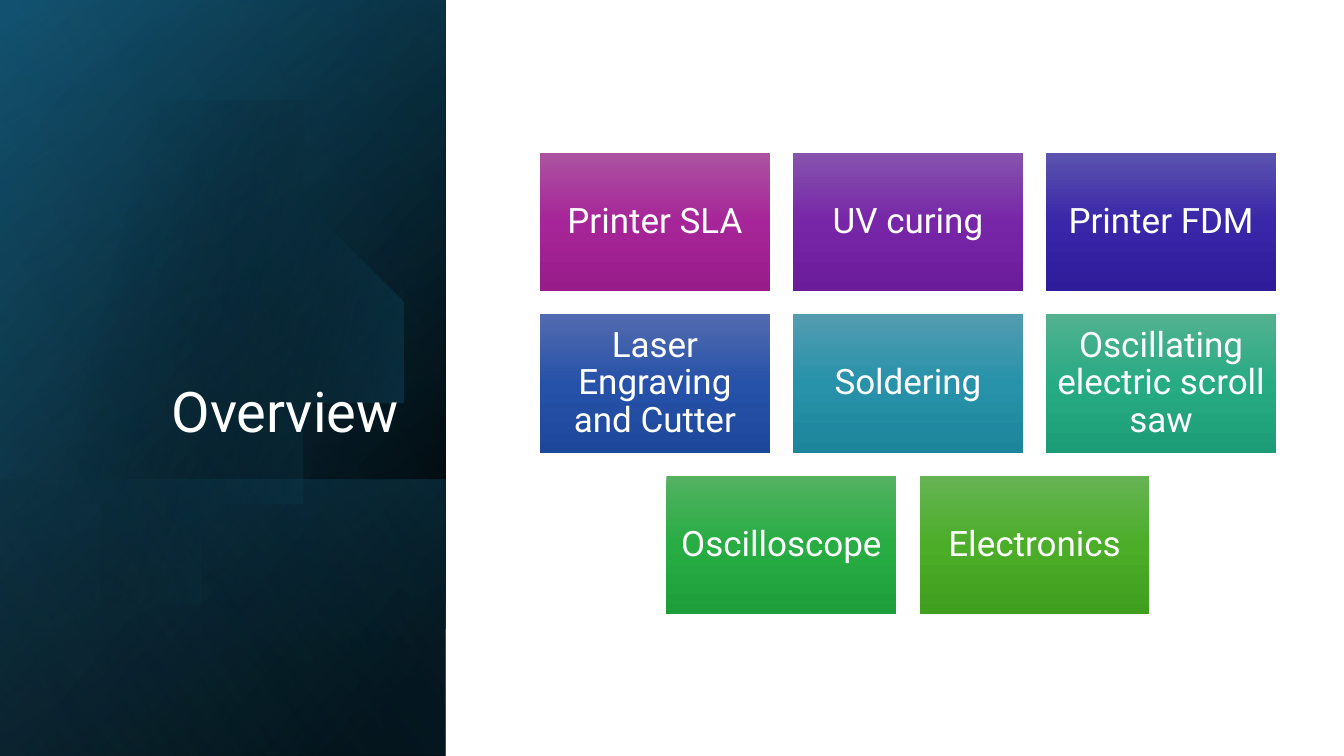
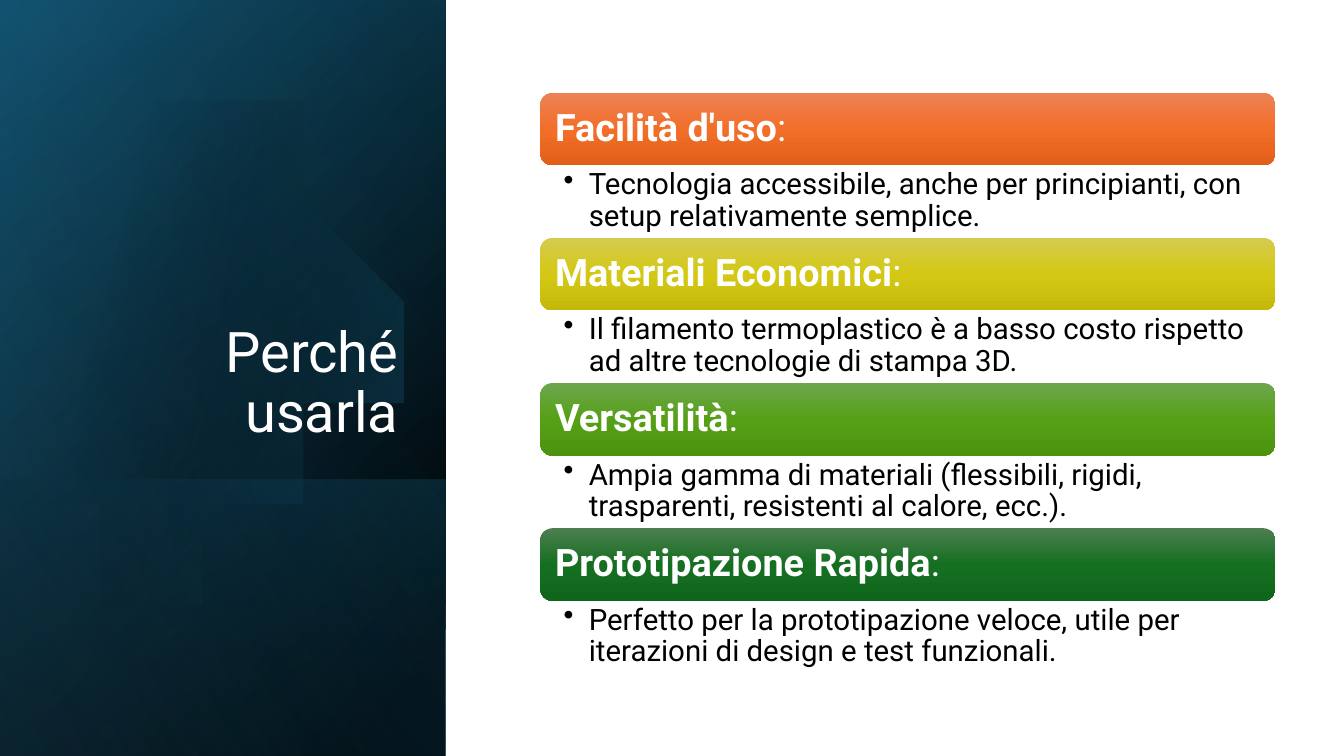
from lxml.etree import SubElement
from pptx import Presentation
from pptx.dml.color import RGBColor
from pptx.enum.shapes import MSO_SHAPE
from pptx.enum.text import MSO_ANCHOR, PP_ALIGN
from pptx.oxml.ns import qn
from pptx.util import Inches, Pt

THEME = {
    "font": "Roboto", "white": "FFFFFF", "black": "000000",
    "navy": "104862", "teal": "156082", "sky": "46B1E1",
    "title": 40, "card": 25, "band": 27, "detail": 21, "spacing": 0.9,
}

CARDS = [
    ("Printer SLA", ("AC53A0", "A62598", "991C8B")),
    ("UV curing", ("8653AD", "7726A7", "6B1C9A")),
    ("Printer FDM", ("5C53AE", "3926A8", "2F1C9A")),
    ("Laser Engraving and Cutter", ("536BAF", "2652A9", "1D479B")),
    ("Soldering", ("539CB0", "2792AA", "1D859C")),
    ("Oscillating electric scroll saw", ("53B190", "27AB83", "1D9D77")),
    ("Oscilloscope", ("54B262", "28AC44", "1E9E3A")),
    ("Electronics", ("66B354", "4BAD28", "409F1E")),
]

REASONS = [
    ("Facilità d'uso", "Tecnologia accessibile, anche per principianti, con setup relativamente semplice.",
     ("ED8257", "F26E29", "E25F1A")),
    ("Materiali Economici", "Il filamento termoplastico è a basso costo rispetto ad altre tecnologie di stampa 3D.",
     ("D5CB4E", "D4C815", "C4B90B")),
    ("Versatilità", "Ampia gamma di materiali (flessibili, rigidi, trasparenti, resistenti al calore, ecc.).",
     ("6DA64E", "56A017", "4C930F")),
    ("Prototipazione Rapida", "Perfetto per la prototipazione veloce, utile per iterazioni di design e test funzionali.",
     ("4D7E50", "156F21", "0F661B")),
]

FULL_PANEL = (-1.54, 1.54, 7.5, 4.42)
LOWER_PANEL = (0.84, 3.92, 2.74, 4.42)
PANEL_BASE = [
    (FULL_PANEL, 50, [(8, THEME["black"], 100), (100, THEME["navy"], 100)]),
    (FULL_PANEL, 30, [(0, THEME["black"], 0), (99, THEME["teal"], 46)]),
    (LOWER_PANEL, 130, [(2, THEME["teal"], 29), (100, THEME["black"], 30)]),
]
PANEL_GLOW = (FULL_PANEL, 120, [(0, THEME["black"], 0), (99, THEME["sky"], 11)])
DISC_STOPS = [(29, THEME["black"], 0), (100, THEME["teal"], 43)]
DISC_START = (1.49, 1.1)
DISC_CURVES = [
    [(2.46, 1.12), (3.35, 1.77), (3.63, 2.75)],
    [(3.98, 3.97), (3.28, 5.23), (2.07, 5.58)],
    [(1.31, 5.8), (0.53, 5.61), (-0.03, 5.14)],
    [(-0.15, 5.03)],
    [(-0.15, 1.75)],
    [(0, 1.61)],
    [(0.23, 1.42), (0.5, 1.28), (0.8, 1.19)],
    [(1.03, 1.13), (1.26, 1.1), DISC_START],
]
CONTENT_LEFT, CONTENT_WIDTH = 5.36, 7.29


def fill_gradient(shape, stops, angle):
    shape.shadow.inherit = False
    shape.line.fill.background()
    shape.fill.background()
    properties = shape.element.spPr
    gradient = properties.find(qn("a:noFill"))
    gradient.tag = qn("a:gradFill")
    gradient.set("rotWithShape", "1")
    stop_list = SubElement(gradient, qn("a:gsLst"))
    for position, color, opacity in stops:
        stop = SubElement(stop_list, qn("a:gs"), pos=str(position * 1000))
        shade = SubElement(stop, qn("a:srgbClr"), val=color)
        if opacity < 100:
            SubElement(shade, qn("a:alpha"), val=str(opacity * 1000))
    SubElement(gradient, qn("a:lin"), ang=str(angle * 60000), scaled="0")


def add_filled(page, kind, place, stops, angle=90):
    shape = page.shapes.add_shape(kind, *map(Inches, place))
    fill_gradient(shape, stops, angle)
    return shape


def add_tile(page, kind, place, colors):
    return add_filled(page, kind, place, [(0, colors[0], 100), (50, colors[1], 100), (100, colors[2], 100)])


def add_textbox(page, place):
    return page.shapes.add_textbox(*map(Inches, place))


def write(shape, text, size, color=THEME["white"], align=PP_ALIGN.LEFT, anchor=MSO_ANCHOR.MIDDLE,
          insets=(0.1, 0.1, 0.1, 0.1), bold=False, tail="", bullet=False):
    frame = shape.text_frame
    frame.word_wrap = True
    frame.vertical_anchor = anchor
    frame.margin_left, frame.margin_top, frame.margin_right, frame.margin_bottom = map(Inches, insets)
    para = frame.paragraphs[0]
    para.alignment = align
    para.line_spacing = THEME["spacing"]
    if bullet:
        settings = para._p.get_or_add_pPr()
        settings.set("marL", str(Inches(0.25)))
        settings.set("indent", str(Inches(-0.25)))
        SubElement(settings, qn("a:buChar"), char="•")
    for words, weight in ((text, bold), (tail, False)):
        if words:
            span = para.add_run()
            span.text = words
            span.font.name = THEME["font"]
            span.font.size = Pt(size)
            span.font.bold = weight
            span.font.color.rgb = RGBColor.from_string(color)


def add_panel_layer(page, place, angle, stops):
    layer = add_filled(page, MSO_SHAPE.RECTANGLE, place, stops, angle)
    layer.rotation = 90
    layer.element.spPr.find(qn("a:xfrm")).set("flipH", "1")


def trace_curves(start, curves, steps=16):
    points = []
    for curve in curves:
        if len(curve) == 1:
            points.append(curve[0])
        else:
            corners = [start, *curve]
            for step in range(1, steps + 1):
                t = step / steps
                weights = ((1 - t) ** 3, 3 * t * (1 - t) ** 2, 3 * t ** 2 * (1 - t), t ** 3)
                points.append(tuple(sum(w * c[axis] for w, c in zip(weights, corners)) for axis in (0, 1)))
        start = curve[-1]
    return points


def add_page(deck, title):
    page = deck.slides.add_slide(deck.slide_layouts[6])
    for layer in PANEL_BASE:
        add_panel_layer(page, *layer)
    builder = page.shapes.build_freeform(*DISC_START, scale=Inches(1))
    builder.add_line_segments(trace_curves(DISC_START, DISC_CURVES), close=True)
    fill_gradient(builder.convert_to_shape(), DISC_STOPS, 14)
    add_panel_layer(page, *PANEL_GLOW)
    write(add_textbox(page, (0.64, 1.84, 3.41, 2.62)), title, THEME["title"], align=PP_ALIGN.RIGHT,
          anchor=MSO_ANCHOR.BOTTOM, insets=(0.1, 0.05, 0.1, 0.05))
    return page


def add_cards(page, columns=3, width=2.28, height=1.37, gap=0.23, top=1.52):
    for start in range(0, len(CARDS), columns):
        row = CARDS[start:start + columns]
        row_width = len(row) * (width + gap) - gap
        left = CONTENT_LEFT + (CONTENT_WIDTH - row_width) / 2
        row_top = top + start // columns * (height + gap)
        for column, (label, colors) in enumerate(row):
            place = (left + column * (width + gap), row_top, width, height)
            card = add_tile(page, MSO_SHAPE.RECTANGLE, place, colors)
            write(card, label, THEME["card"], align=PP_ALIGN.CENTER)


def add_reasons(page, top=0.92, band_height=0.72, detail_height=0.72):
    for index, (heading, detail, colors) in enumerate(REASONS):
        band_top = top + index * (band_height + detail_height)
        band = add_tile(page, MSO_SHAPE.ROUNDED_RECTANGLE,
                        (CONTENT_LEFT, band_top, CONTENT_WIDTH, band_height), colors)
        write(band, heading, THEME["band"], bold=True, tail=":", insets=(0.11, 0.11, 0.11, 0.11))
        box = add_textbox(page, (CONTENT_LEFT, band_top + band_height, CONTENT_WIDTH, detail_height))
        write(box, detail, THEME["detail"], color=THEME["black"], anchor=MSO_ANCHOR.TOP,
              insets=(0.23, 0.04, 0.21, 0.04), bullet=True)


def main():
    deck = Presentation()
    deck.slide_width, deck.slide_height = Inches(13.33), Inches(7.5)
    add_cards(add_page(deck, "Overview"))
    add_reasons(add_page(deck, "Perché usarla"))
    deck.save("out.pptx")


if __name__ == "__main__":
    main()
